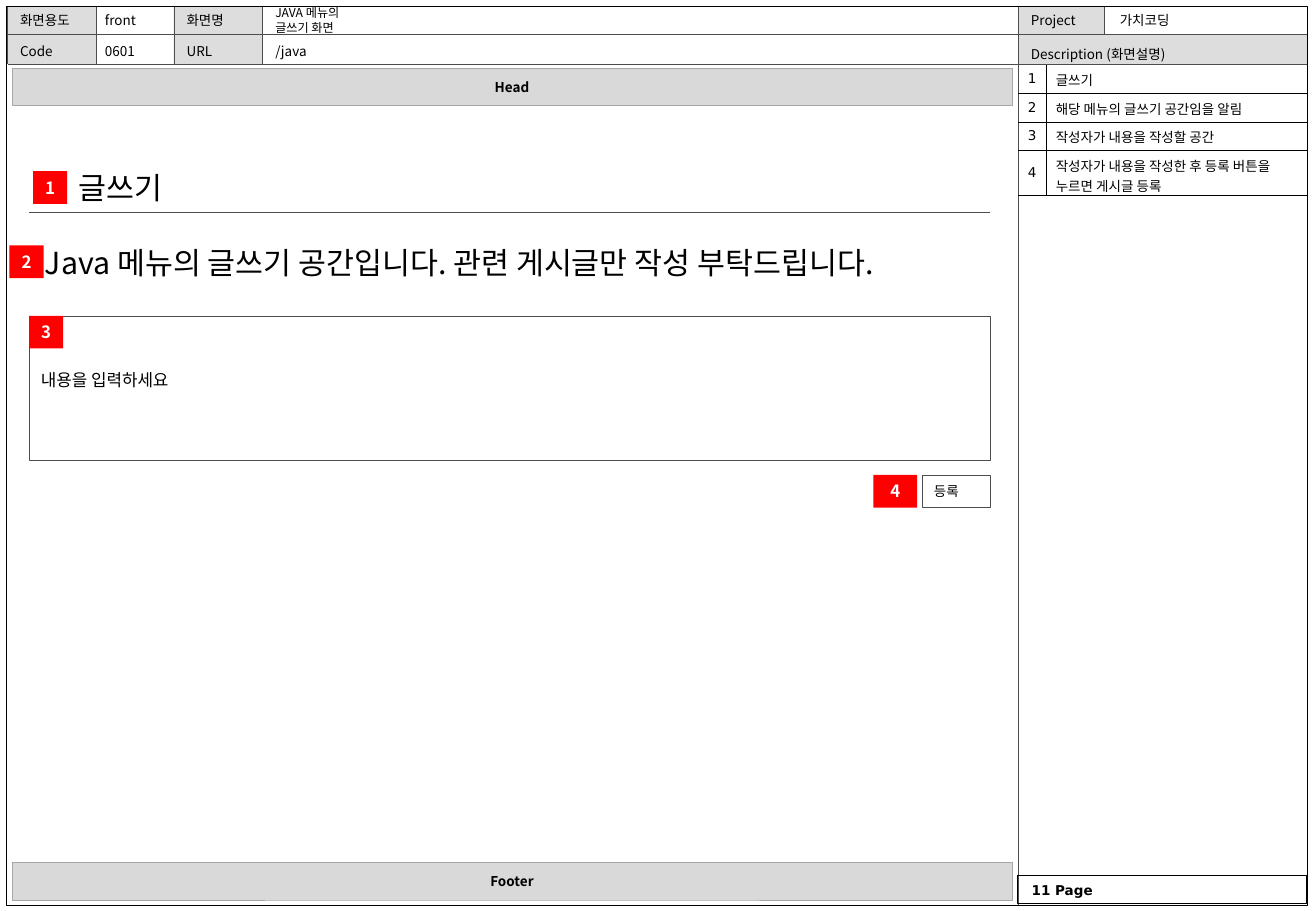
from collections import namedtuple

from lxml.etree import SubElement
from pptx import Presentation
from pptx.dml.color import RGBColor
from pptx.enum.shapes import MSO_CONNECTOR as Connector, MSO_SHAPE as Preset
from pptx.enum.text import MSO_ANCHOR as Anchor, PP_ALIGN as Align
from pptx.oxml.ns import qn
from pptx.util import Pt

Box = namedtuple("Box", "left top width height")

KOREAN, LATIN = "Noto Sans CJK KR", "DejaVu Sans"
BLACK, WHITE, RED = "000000", "FFFFFF", "FF0000"
RULE, LABEL_GREY, BAR_GREY, BAR_EDGE = "4D4D4D", "DDDDDD", "D9D9D9", "A6A6A6"
HAIRLINE = 0.25
ROW_ONE, ROW_TWO = 16.6, 18
BADGE_WIDTH, BADGE_HEIGHT = 20.2, 19.4


def color(hex_string):
    """Turn a hex string into a colour."""
    return RGBColor.from_string(hex_string)


def write_text(holder, text, size=8, font=KOREAN, ink=BLACK, bold=False,
               align=Align.LEFT):
    """Write one formatted paragraph into a text frame."""
    paragraph = holder.text_frame.paragraphs[0]
    paragraph.alignment = align
    run = paragraph.add_run()
    run.text = text
    run.font.size, run.font.bold, run.font.name = Pt(size), bold, font
    run.font.color.rgb = color(ink)
    SubElement(run.font._element, qn("a:ea"), typeface=font)


def set_margins(holder, left=0, top=0, right=0, bottom=0):
    """Set the four text insets of a text frame or table cell."""
    holder.margin_left, holder.margin_top = Pt(left), Pt(top)
    holder.margin_right, holder.margin_bottom = Pt(right), Pt(bottom)


def add_text(slide, box, text, wrap=False, **text_format):
    """Add a text box whose text is centred vertically in the box."""
    shape = slide.shapes.add_textbox(*map(Pt, box))
    set_margins(shape.text_frame)
    shape.text_frame.word_wrap = wrap
    shape.text_frame.vertical_anchor = Anchor.MIDDLE
    write_text(shape, text, **text_format)


def add_rectangle(slide, box, fill=None, edge=None, text=None, margins=None,
                  **text_format):
    """Add a rectangle with optional fill, outline and text."""
    shape = slide.shapes.add_shape(Preset.RECTANGLE, *map(Pt, box))
    shape.shadow.inherit = False
    if fill:
        shape.fill.solid()
        shape.fill.fore_color.rgb = color(fill)
    else:
        shape.fill.background()
    if edge:
        shape.line.color.rgb = color(edge)
        shape.line.width = Pt(HAIRLINE)
    else:
        shape.line.fill.background()
    if text:
        set_margins(shape.text_frame, **(margins or {}))
        shape.text_frame.word_wrap = False
        shape.text_frame.vertical_anchor = Anchor.MIDDLE
        write_text(shape, text, **text_format)


def add_rule(slide, left, top, width=0, height=0):
    """Add a thin horizontal or vertical rule."""
    rule = slide.shapes.add_connector(
        Connector.STRAIGHT, Pt(left), Pt(top), Pt(left + width), Pt(top + height))
    rule.line.color.rgb = color(RULE)
    rule.line.width = Pt(HAIRLINE)
    SubElement(rule._element.spPr, qn("a:effectLst"))


def add_badge(slide, left, top, number, width=BADGE_WIDTH):
    """Add a red numbered marker."""
    add_rectangle(slide, Box(left, top, width, BADGE_HEIGHT), RED, text=str(number),
                  size=10, ink=WHITE, bold=True, align=Align.CENTER)


def set_borders(cell, sides):
    """Draw the named sides (L, R, T, B) of a cell and hide the others."""
    properties = cell._tc.get_or_add_tcPr()
    for side in "LRTB":
        line = SubElement(properties, qn(f"a:ln{side}"), w=str(Pt(HAIRLINE)))
        if side in sides:
            fill = SubElement(line, qn("a:solidFill"))
            SubElement(fill, qn("a:srgbClr"), val=BLACK)
        else:
            SubElement(line, qn("a:noFill"))


def draw_header(slide, box):
    """Draw the two-row screen information header."""
    label_width = 52.6
    fields = [(0.7, ("화면용도", "Code"), ("front", "0601")),
              (99.4, ("화면명", "URL"), ("JAVA 메뉴의 글쓰기 화면", "/java"))]
    for offset, labels, values in fields:
        left = box.left + offset
        add_rectangle(slide, Box(left, box.top, label_width, box.height), LABEL_GREY)
        for x in (left, left + label_width):
            add_rule(slide, x, box.top, height=box.height)
        rows = ((box.top, ROW_ONE), (box.top + ROW_ONE + 0.8, ROW_TWO))
        for (top, height), label, value in zip(rows, labels, values):
            add_text(slide, Box(left + 7.6, top, 44, height), label)
            size = 7.2 if value.startswith("JAVA") else 8
            add_text(slide, Box(left + label_width + 7.6 - 2.3 * (offset < 1),
                                top, 44, height), value, size=size)
    for top in (box.top + ROW_ONE, box.top + box.height):
        add_rule(slide, box.left + 1.4, top, width=box.width - 1.4)


def draw_descriptions(slide, box, descriptions):
    """Draw the numbered description table."""
    number_width, row_height, tall_row = 16.6, 17, 26.4
    frame = slide.shapes.add_table(len(descriptions), 2, *map(Pt, box))
    table = frame.table
    table.first_row = table.horz_banding = False
    table.columns[0].width = Pt(number_width)
    table.columns[1].width = Pt(box.width - number_width)
    for index, description in enumerate(descriptions):
        last = index == len(descriptions) - 1
        table.rows[index].height = Pt(tall_row if last else row_height)
        number, detail = table.cell(index, 0), table.cell(index, 1)
        set_margins(number)
        set_margins(detail, left=5.8, top=3.2, right=5.8)
        number.vertical_anchor = Anchor.MIDDLE
        write_text(number, str(index + 1), font=LATIN, align=Align.CENTER)
        write_text(detail, description)
        for cell, sides in ((number, "RTB"), (detail, "LRTB")):
            set_borders(cell, sides)
            cell.fill.background()


def draw_panel(slide, box):
    """Draw the right panel: project, descriptions and page number."""
    project_width, page_height = 51.4, 16.6
    second_row = box.top + ROW_ONE
    add_rectangle(slide, Box(box.left, box.top, project_width, ROW_ONE), LABEL_GREY)
    add_rectangle(slide, Box(box.left, second_row, box.width, ROW_TWO), LABEL_GREY)
    add_text(slide, Box(box.left + 7.6, box.top, 40, ROW_ONE), "Project")
    add_text(slide, Box(box.left + 60.3, box.top, 40, ROW_ONE), "가치코딩")
    add_text(slide, Box(box.left + 7.6, second_row + 2.6, 90, ROW_TWO),
             "Description (화면설명)")
    add_rule(slide, box.left + project_width, box.top, height=ROW_ONE)
    add_rule(slide, box.left, box.top, height=box.height)
    draw_descriptions(slide, Box(box.left, second_row + ROW_TWO, box.width, 77.4), [
        "글쓰기",
        "해당 메뉴의 글쓰기 공간임을 알림",
        "작성자가 내용을 작성할 공간",
        "작성자가 내용을 작성한 후 등록 버튼을 누르면 게시글 등록"])
    add_rectangle(slide, Box(box.left - 0.5, box.top + box.height - page_height - 0.7,
                             box.width, page_height),
                  edge=BLACK, text="11 Page", margins={"left": 8.6},
                  font=LATIN, bold=True)


def draw_screen(slide, box):
    """Draw the writing screen between its head and footer bars."""
    bar_height = 22.3
    for top, name in ((box.top, "Head"), (box.top + box.height - bar_height, "Footer")):
        add_rectangle(slide, Box(box.left, top, box.width, bar_height), BAR_GREY,
                      BAR_EDGE, name, bold=True, align=Align.CENTER)
    left, width = box.left + 10, 569.6
    right = left + width
    add_rule(slide, left, box.top + 85.7, width=width)
    add_badge(slide, left + 2.4, box.top + 61.2, 1)
    add_text(slide, Box(left + 29.6, box.top + 56.3, 280, 28.8), "글쓰기", size=18)
    add_badge(slide, left - 11.6, box.top + 105.2, 2)
    add_text(slide, Box(left + 9.4, box.top + 100.9, width, 28.8),
             "Java 메뉴의 글쓰기 공간입니다. 관련 게시글만 작성 부탁드립니다.", size=18)
    input_top = box.top + 146.9
    add_rectangle(slide, Box(left, input_top, width, 85.7), WHITE, RULE,
                  "내용을 입력하세요", {"left": 7.2, "bottom": 10}, size=10)
    add_badge(slide, left, input_top, 3)
    button_top, button_width = box.top + 241.2, 40.3
    add_rectangle(slide, Box(right - button_width, button_top, button_width,
                             BADGE_HEIGHT), WHITE, RULE, "등록", {"left": 7.2})
    add_badge(slide, right - 69.1, button_top, 4, width=25.9)


def main():
    """Build and save the screen specification slide."""
    presentation = Presentation()
    presentation.slide_width, presentation.slide_height = Pt(780), Pt(540)
    slide = presentation.slides.add_slide(presentation.slide_layouts[6])
    page = Box(3.6, 3.6, 771.4, 532.8)
    panel_left = 603.4
    draw_panel(slide, Box(panel_left, page.top, page.left + page.width - panel_left,
                          page.height))
    draw_header(slide, Box(page.left, page.top, page.width, ROW_ONE + ROW_TWO))
    draw_screen(slide, Box(7.2, 40.3, 592.6, 493.2))
    add_rectangle(slide, page, edge=BLACK)
    presentation.save("out.pptx")


main()
